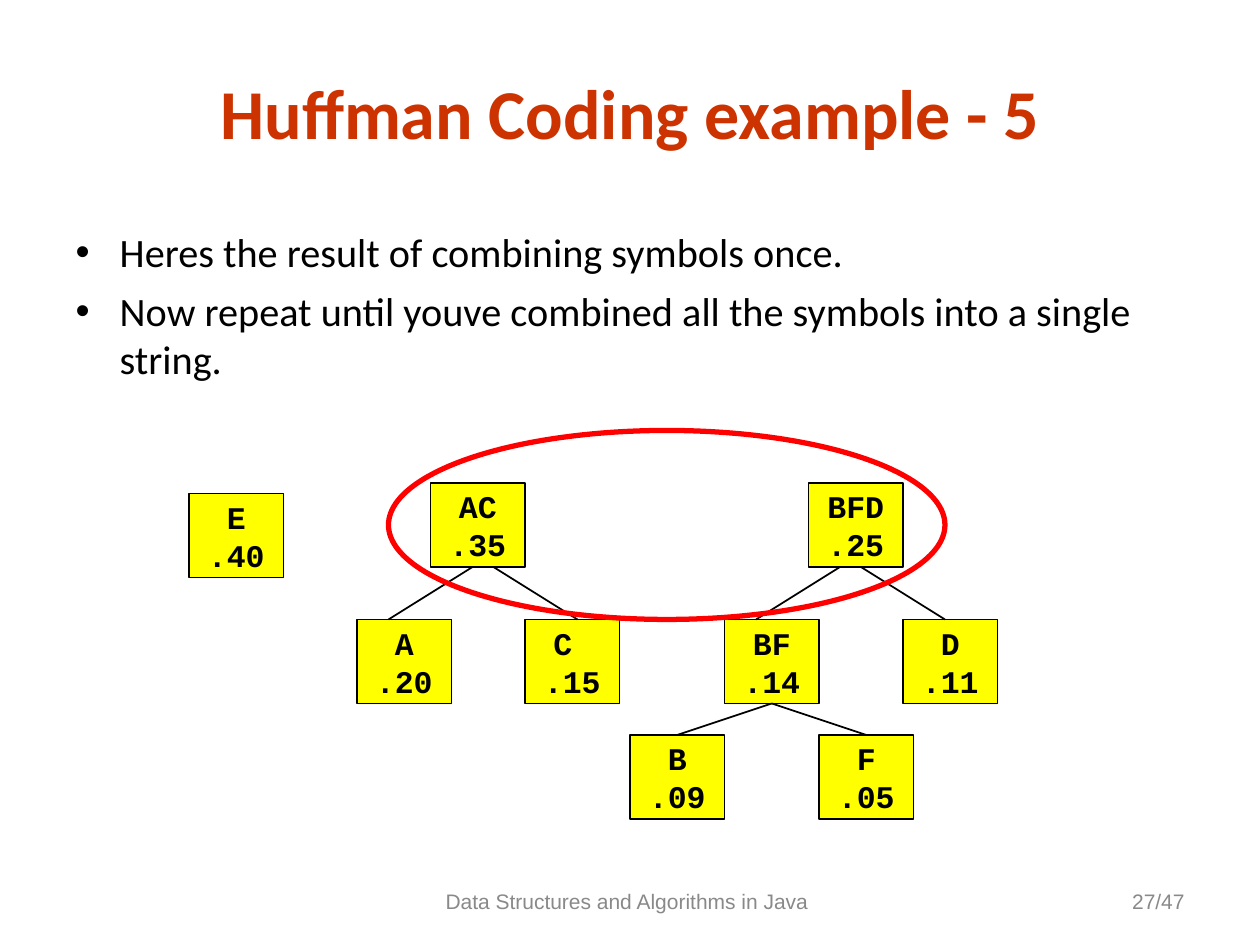
from pptx import Presentation
from pptx.dml.color import RGBColor
from pptx.enum import shapes as sh, text as tx
from pptx.oxml import parse_xml
from pptx.oxml.ns import nsdecls
from pptx.util import Pt

BLACK = RGBColor(0, 0, 0)
GREY = RGBColor(0x89, 0x89, 0x89)
RUST = RGBColor(0xCC, 0x33, 0x00)
RED = RGBColor(0xFF, 0, 0)
YELLOW = RGBColor(0xFF, 0xFF, 0)

TITLE = "Huffman Coding example - 5"
POINTS = [
    "Heres the result of combining symbols once.",
    "Now repeat until youve combined all the symbols into a single string.",
]
# text, box, alignment
FOOTERS = [
    ("Data Structures and Algorithms in Java ", (246, 500.4, 228, 28.8),
     tx.PP_ALIGN.CENTER),
    ("27/47", (516, 500.4, 168, 28.8), tx.PP_ALIGN.RIGHT),
]
WIDE, HIGH = 54, 48
# symbol: weight, left, top
NODES = {
    "E": (".40", 108, 282),
    "AC": (".35", 246, 276), "BFD": (".25", 462, 276),
    "A": (".20", 204, 354), "C ": (".15", 300, 354),
    "BF": (".14", 414, 354), "D": (".11", 516, 354),
    "B": (".09", 360, 420), "F": (".05", 468, 420),
}
# parent, child, shift of each end from the middle of its node
EDGES = [
    ("AC", "A", -3, -9), ("AC", "C ", 9, 3),
    ("BFD", "BF", -9, -9), ("BFD", "D", 3, -3),
    ("BF", "B", 0, 0), ("BF", "F", 0, 0),
]
RING = (222, 246, 318, 108)


def put(shape, box):
    """Move and size a shape, in points."""
    shape.left, shape.top, shape.width, shape.height = map(Pt, box)


def write(par, words, size, face, color, bold=False, align=None):
    """Add one run to a paragraph."""
    par.alignment = align
    run = par.add_run()
    run.text = words
    font = run.font
    font.size, font.name, font.bold = Pt(size), face, bold
    font.color.rgb = color


def add_node(slide, name, weight, left, top):
    """Draw a tree node with its symbol above its weight."""
    node = slide.shapes.add_shape(
        sh.MSO_SHAPE.RECTANGLE, *map(Pt, (left, top, WIDE, HIGH)))
    node.shadow.inherit = False
    node.fill.solid()
    node.fill.fore_color.rgb = YELLOW
    node.line.color.rgb = BLACK
    node.line.width = Pt(1)
    frame = node.text_frame
    frame.word_wrap = False
    frame.vertical_anchor = tx.MSO_ANCHOR.MIDDLE
    pars = frame.paragraphs[0], frame.add_paragraph()
    for par, words in zip(pars, (name, weight)):
        write(par, words, 18, "Courier New", BLACK, True, tx.PP_ALIGN.CENTER)


def add_edge(slide, head, child, out, into):
    """Join the bottom of a parent to the top of its child."""
    _, x1, y1 = NODES[head]
    _, x2, y2 = NODES[child]
    mid = WIDE / 2
    edge = slide.shapes.add_connector(
        sh.MSO_CONNECTOR.STRAIGHT,
        *map(Pt, (x1 + mid + out, y1 + HIGH, x2 + mid + into, y2)))
    edge.line.color.rgb = BLACK
    edge.line.width = Pt(1)
    edge._element.spPr.append(parse_xml(f"<a:effectLst {nsdecls('a')}/>"))


def add_ring(slide):
    """Circle the two nodes to combine next."""
    ring = slide.shapes.add_shape(sh.MSO_SHAPE.OVAL, *map(Pt, RING))
    ring.shadow.inherit = False
    ring.fill.background()
    ring.line.color.rgb = RED
    ring.line.width = Pt(3)


def add_points(body):
    """Fill the body with the bulleted points."""
    put(body, (36, 102, 648, 120))
    frame = body.text_frame
    frame.auto_size = tx.MSO_AUTO_SIZE.NONE
    frame.margin_top = Pt(28)
    for i, words in enumerate(POINTS):
        par = frame.add_paragraph() if i else frame.paragraphs[0]
        par.space_before, par.space_after = Pt(0), Pt(5.8)
        props = par._p.get_or_add_pPr()
        props.set("marL", str(Pt(25.2)))
        props.set("indent", str(Pt(-25.2)))
        write(par, words, 23, "Calibri", BLACK)


def main():
    """Build and save the slide."""
    deck = Presentation()
    deck.slide_width, deck.slide_height = Pt(720), Pt(540)
    slide = deck.slides.add_slide(deck.slide_layouts[1])
    title, body = slide.placeholders

    put(title, (54, 36, 612, 55.4))
    title.text_frame.auto_size = tx.MSO_AUTO_SIZE.NONE
    title.text_frame.vertical_anchor = tx.MSO_ANCHOR.MIDDLE
    write(title.text_frame.paragraphs[0], TITLE, 40, "Calibri", RUST, True,
          tx.PP_ALIGN.CENTER)
    add_points(body)

    for words, box, align in FOOTERS:
        frame = slide.shapes.add_textbox(*map(Pt, box)).text_frame
        frame.word_wrap = True
        frame.vertical_anchor = tx.MSO_ANCHOR.MIDDLE
        write(frame.paragraphs[0], words, 12, "Arial", GREY, align=align)

    for name, data in NODES.items():
        add_node(slide, name, *data)
    for edge in EDGES:
        add_edge(slide, *edge)
    add_ring(slide)
    deck.save("out.pptx")


main()
